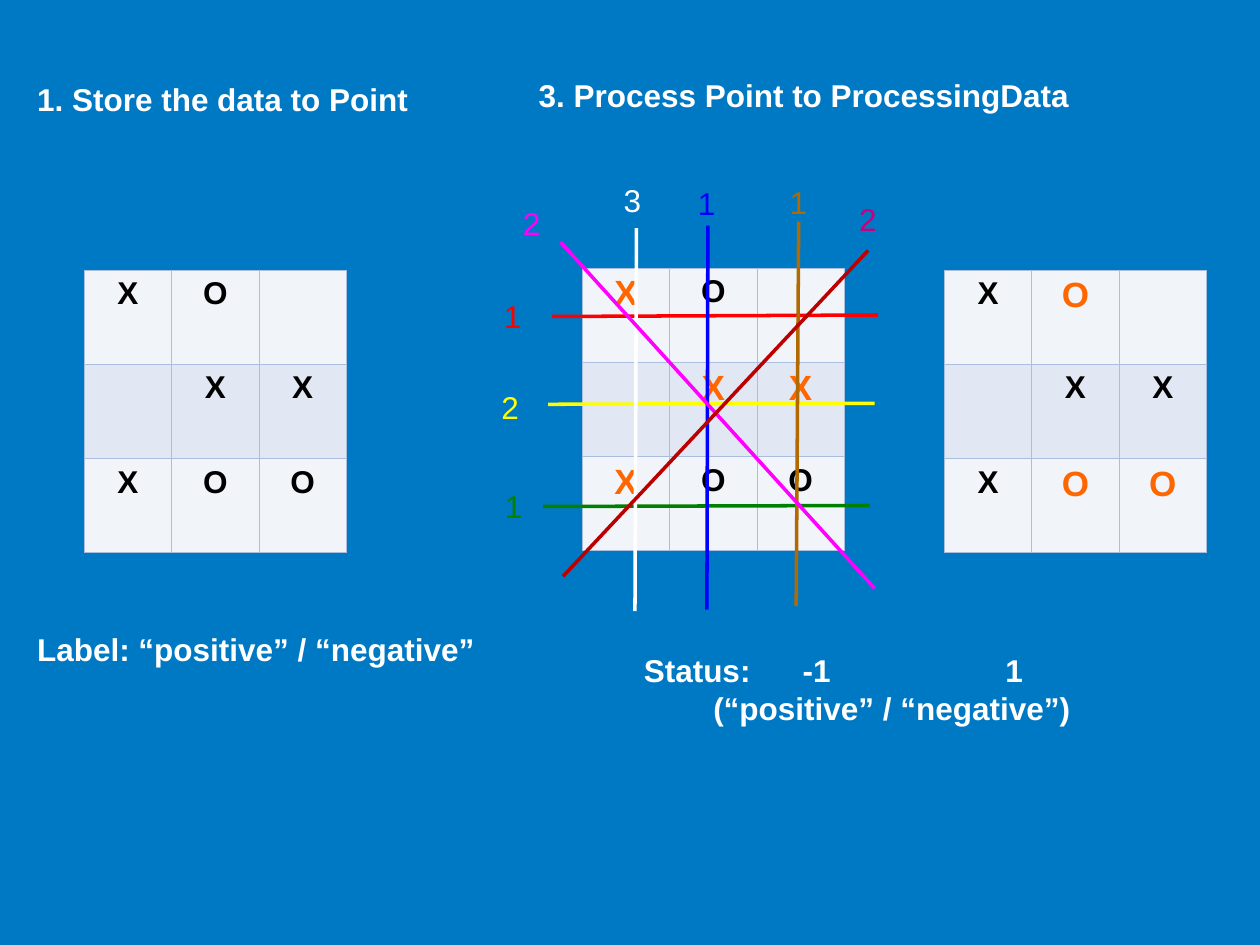
from lxml.etree import SubElement
from pptx import Presentation
from pptx.dml.color import RGBColor
from pptx.enum.shapes import MSO_CONNECTOR as Connector
from pptx.enum.text import MSO_AUTO_SIZE as AutoSize, PP_ALIGN as Align
from pptx.oxml.ns import qn
from pptx.util import Cm, Pt

BACKGROUND = RGBColor(0x00, 0x79, 0xC5)
WHITE = RGBColor(0xFF, 0xFF, 0xFF)
BLACK = RGBColor(0x00, 0x00, 0x00)
ORANGE = RGBColor(0xFF, 0x66, 0x00)
CELL_LIGHT = RGBColor(0xF1, 0xF4, 0xF9)
CELL_DARK = RGBColor(0xE2, 0xE8, 0xF3)
CELL_BORDER = RGBColor(0xAA, 0xBE, 0xDF)
RED = RGBColor(0xFF, 0x00, 0x00)
YELLOW = RGBColor(0xFF, 0xFF, 0x00)
GREEN = RGBColor(0x00, 0x80, 0x00)
BLUE = RGBColor(0x00, 0x00, 0xFF)
BROWN = RGBColor(0xB1, 0x6A, 0x01)
MAGENTA = RGBColor(0xFF, 0x00, 0xFF)
DARK_RED = RGBColor(0xBC, 0x00, 0x00)
CRIMSON = RGBColor(0xC6, 0x00, 0x7F)

MARKS = ("XO ", " XX", "XOO")

# left, top, highlighted mark
BOARDS = (
    (1.7, 5.44, None),
    (11.74, 5.4, "X"),
    (19.04, 5.44, "O"),
)

# line colour, start, end, count, count colour, count position
WINNING_LINES = (
    (RED, (11.13, 6.38), (17.7, 6.35), "1", RED, (9.91, 5.87)),
    (YELLOW, (11.05, 8.15), (17.63, 8.13), "2", YELLOW, (9.86, 7.7)),
    (GREEN, (10.95, 10.21), (17.53, 10.19), "1", GREEN, (9.93, 9.7)),
    (WHITE, (12.83, 4.6), (12.8, 12.32), "3", WHITE, (12.32, 3.53)),
    (BLUE, (14.27, 4.55), (14.25, 12.29), "1", BLUE, (13.82, 3.58)),
    (BROWN, (16.1, 4.47), (16.05, 12.22), "1", BROWN, (15.67, 3.56)),
    (MAGENTA, (11.3, 4.88), (17.63, 11.86), "2", MAGENTA, (10.29, 3.99)),
    (DARK_RED, (17.5, 5.05), (11.35, 11.62), "2", CRIMSON, (17.07, 3.91)),
)


def write(paragraph, text, *, size=18, color=WHITE, bold=False, align=None,
          indent=0, tabs=()):
    """Fill a paragraph; indent and tab stops are in centimetres."""
    run = paragraph.add_run()
    run.text = text
    font = run.font
    font.name, font.size, font.bold = "Arial", Pt(size), bold
    font.color.rgb = color
    if align is not None:
        paragraph.alignment = align
    properties = paragraph._p.get_or_add_pPr()
    if indent:
        properties.set("marL", str(Cm(indent)))
        properties.set("indent", "0")
    if tabs:
        stops = SubElement(properties, qn("a:tabLst"))
        for stop in tabs:
            SubElement(stops, qn("a:tab"), pos=str(Cm(stop)), algn="l")


class BoardSlide:
    column_width = 1.76
    row_height = 1.9
    border_width = Pt(0.45)
    line_width = Pt(2)

    def __init__(self, presentation):
        blank = presentation.slide_layouts[6]
        self.slide = presentation.slides.add_slide(blank)
        fill = self.slide.background.fill
        fill.solid()
        fill.fore_color.rgb = BACKGROUND

    def text(self, left, top, width, height, *lines, **style):
        """Add a text box; each line is a (text, extra format) pair."""
        box = self.slide.shapes.add_textbox(
            Cm(left), Cm(top), Cm(width), Cm(height))
        frame = box.text_frame
        frame.word_wrap = True
        frame.auto_size = AutoSize.SHAPE_TO_FIT_TEXT
        for number, (line, extra) in enumerate(lines):
            paragraph = frame.add_paragraph() if number else frame.paragraphs[0]
            write(paragraph, line, **style, **extra)

    def line(self, start, end, color):
        connector = self.slide.shapes.add_connector(
            Connector.STRAIGHT, *(Cm(value) for value in start + end))
        connector.line.color.rgb = color
        connector.line.width = self.line_width
        SubElement(connector._element.spPr, qn("a:effectLst"))

    def border(self, cell):
        properties = cell._tc.get_or_add_tcPr()
        for side in ("lnL", "lnR", "lnT", "lnB"):
            edge = SubElement(properties, qn(f"a:{side}"),
                              w=str(self.border_width))
            fill = SubElement(edge, qn("a:solidFill"))
            SubElement(fill, qn("a:srgbClr"), val=str(CELL_BORDER))

    def board(self, left, top, highlighted):
        count = len(MARKS)
        table = self.slide.shapes.add_table(
            count, count, Cm(left), Cm(top),
            Cm(count * self.column_width), Cm(count * self.row_height)).table
        for column in table.columns:
            column.width = Cm(self.column_width)
        for r, marks in enumerate(MARKS):
            table.rows[r].height = Cm(self.row_height)
            for c, mark in enumerate(marks):
                cell = table.cell(r, c)
                self.border(cell)
                cell.fill.solid()
                cell.fill.fore_color.rgb = CELL_DARK if r % 2 else CELL_LIGHT
                if mark != " ":
                    special = mark == highlighted
                    write(cell.text_frame.paragraphs[0], mark, bold=True,
                          size=20 if special else 18,
                          color=ORANGE if special else BLACK,
                          align=Align.CENTER)


def main():
    presentation = Presentation()
    presentation.slide_width = Cm(25.4)
    presentation.slide_height = Cm(19.05)
    slide = BoardSlide(presentation)

    slide.text(0.5, 1.48, 8.4, 1.02,
               ("1. Store the data to Point", {}), bold=True)
    slide.text(10.61, 1.4, 13.23, 1.02,
               ("3. Process Point to ProcessingData", {}), bold=True)

    for left, top, highlighted in BOARDS:
        slide.board(left, top, highlighted)
    for color, start, end, count, count_color, position in WINNING_LINES:
        slide.line(start, end, color)
        slide.text(*position, 0.99, 1.02, (count, {}), color=count_color)

    slide.text(0.5, 12.58, 12.9, 1.02,
               ("Label: “positive” / “negative”", {}), bold=True)
    slide.text(12.73, 13, 10.92, 1.78,
               ("Status:\t-1\t1", {"tabs": (3.2, 7.29)}),
               ("(“positive” / “negative”)", {"indent": 1.4}), bold=True)

    presentation.save("out.pptx")


if __name__ == "__main__":
    main()
